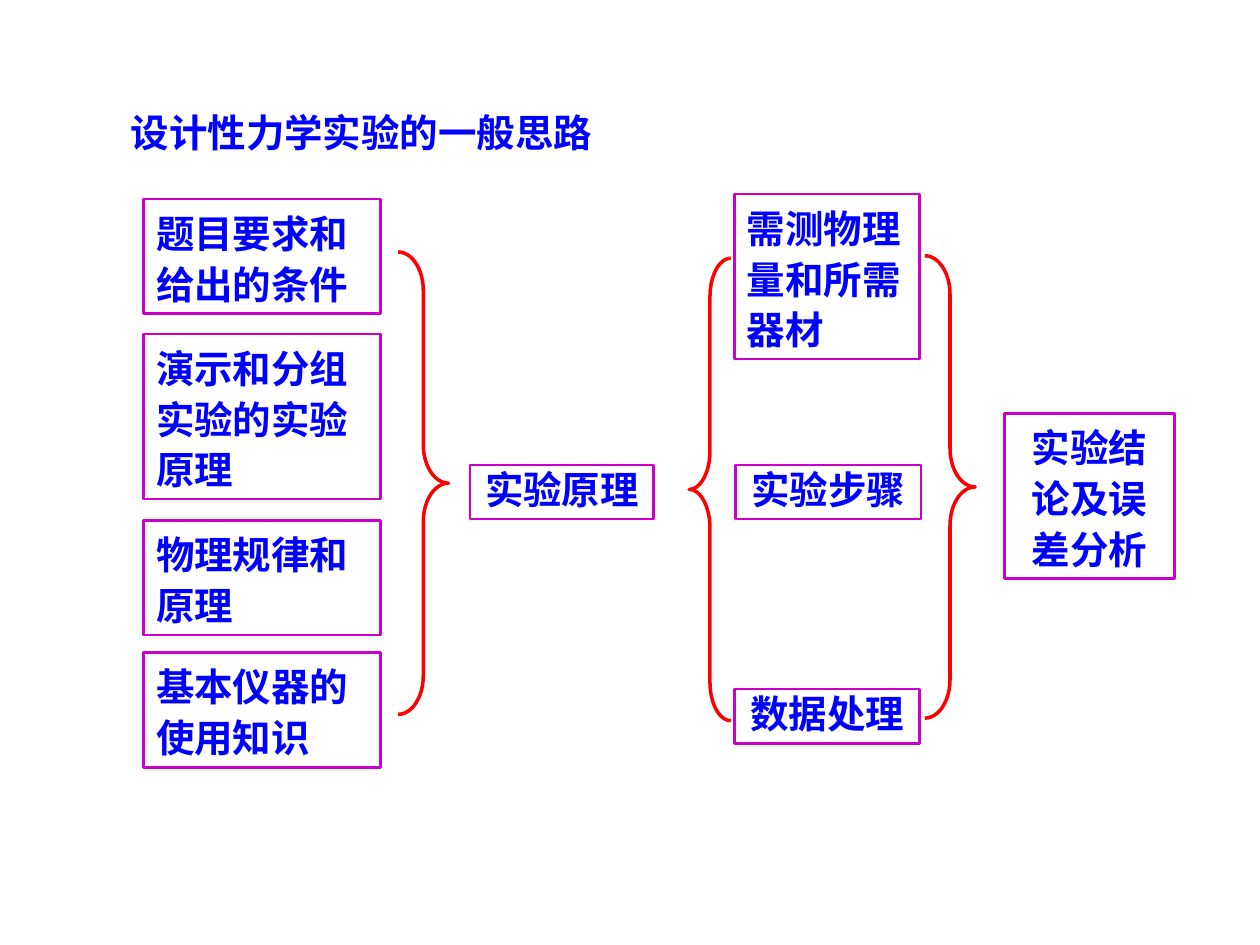
"""Build the slide on the general approach to designing mechanics experiments."""
from lxml import etree
from pptx import Presentation
from pptx.dml.color import RGBColor
from pptx.enum.shapes import MSO_SHAPE
from pptx.enum.text import MSO_ANCHOR, MSO_AUTO_SIZE, PP_ALIGN
from pptx.oxml.ns import qn
from pptx.util import Emu, Pt

RECTANGLE = MSO_SHAPE.RECTANGLE
LEFT_BRACE, RIGHT_BRACE = MSO_SHAPE.LEFT_BRACE, MSO_SHAPE.RIGHT_BRACE
LEFT, CENTER = PP_ALIGN.LEFT, PP_ALIGN.CENTER
MIDDLE, TOP = MSO_ANCHOR.MIDDLE, MSO_ANCHOR.TOP
GROW = MSO_AUTO_SIZE.SHAPE_TO_FIT_TEXT

THEME = {
    "font": "Noto Sans CJK SC",
    "size": Pt(22),
    "text": RGBColor(0x00, 0x00, 0xFF),
    "border": RGBColor(0xCC, 0x00, 0xCC),
    "border_width": Pt(1.5),
    "brace": RGBColor(0xFF, 0x00, 0x00),
    "brace_width": Pt(2),
}
PX = 9144


def px(*lengths):
    return [Emu(length * PX) for length in lengths]


def write(frame, wording, align, spacing, anchor):
    frame.word_wrap = True
    frame.auto_size = GROW
    frame.vertical_anchor = anchor
    paragraph = frame.paragraphs[0]
    paragraph.text = wording
    paragraph.alignment = align
    paragraph.line_spacing = spacing
    font = paragraph.font
    font.size = THEME["size"]
    font.bold = True
    font.color.rgb = THEME["text"]
    font.name = THEME["font"]
    etree.SubElement(font._rPr, qn("a:ea"), typeface=THEME["font"])


prs = Presentation()
prs.slide_width, prs.slide_height = px(1000, 750)
slide = prs.slides.add_slide(prs.slide_layouts[6])

title = slide.shapes.add_textbox(*px(94, 63, 477, 65))
write(title.text_frame, "设计性力学实验的一般思路", LEFT, 1.5, MIDDLE)

ONE_LINE, TWO_LINES, THREE_LINES = 43, 91, 131
steps = [
    ("题目要求和给出的条件", 114, 158, 188, TWO_LINES, LEFT),
    ("演示和分组实验的实验原理", 114, 265, 188, THREE_LINES, LEFT),
    ("物理规律和原理", 114, 413, 188, TWO_LINES, LEFT),
    ("基本仪器的使用知识", 114, 518, 188, TWO_LINES, LEFT),
    ("实验原理", 373, 369, 146, ONE_LINE, CENTER),
    ("需测物理量和所需器材", 583, 154, 147, THREE_LINES, LEFT),
    ("实验步骤", 584, 369, 147, ONE_LINE, CENTER),
    ("数据处理", 583, 547, 147, ONE_LINE, CENTER),
    ("实验结论及误差分析", 797, 328, 135, THREE_LINES, CENTER),
]
for wording, left, top, width, height, align in steps:
    step = slide.shapes.add_shape(RECTANGLE, *px(left, top, width, height))
    step.shadow.inherit = False
    step.fill.background()
    step.line.color.rgb = THEME["border"]
    step.line.width = THEME["border_width"]
    spacing = 0.9 if height == ONE_LINE else 1.1
    write(step.text_frame, wording, align, spacing, TOP)

BRACE_HEIGHT = 367
braces = [
    (RIGHT_BRACE, 316, 200, 40),
    (RIGHT_BRACE, 734, 203, 40),
    (LEFT_BRACE, 547, 205, 33),
]
for kind, left, top, width in braces:
    brace = slide.shapes.add_shape(kind, *px(left, top, width, BRACE_HEIGHT))
    brace.adjustments[0] = BRACE_HEIGHT / 12 / width
    brace.shadow.inherit = False
    brace.fill.background()
    brace.line.color.rgb = THEME["brace"]
    brace.line.width = THEME["brace_width"]

prs.save("out.pptx")
